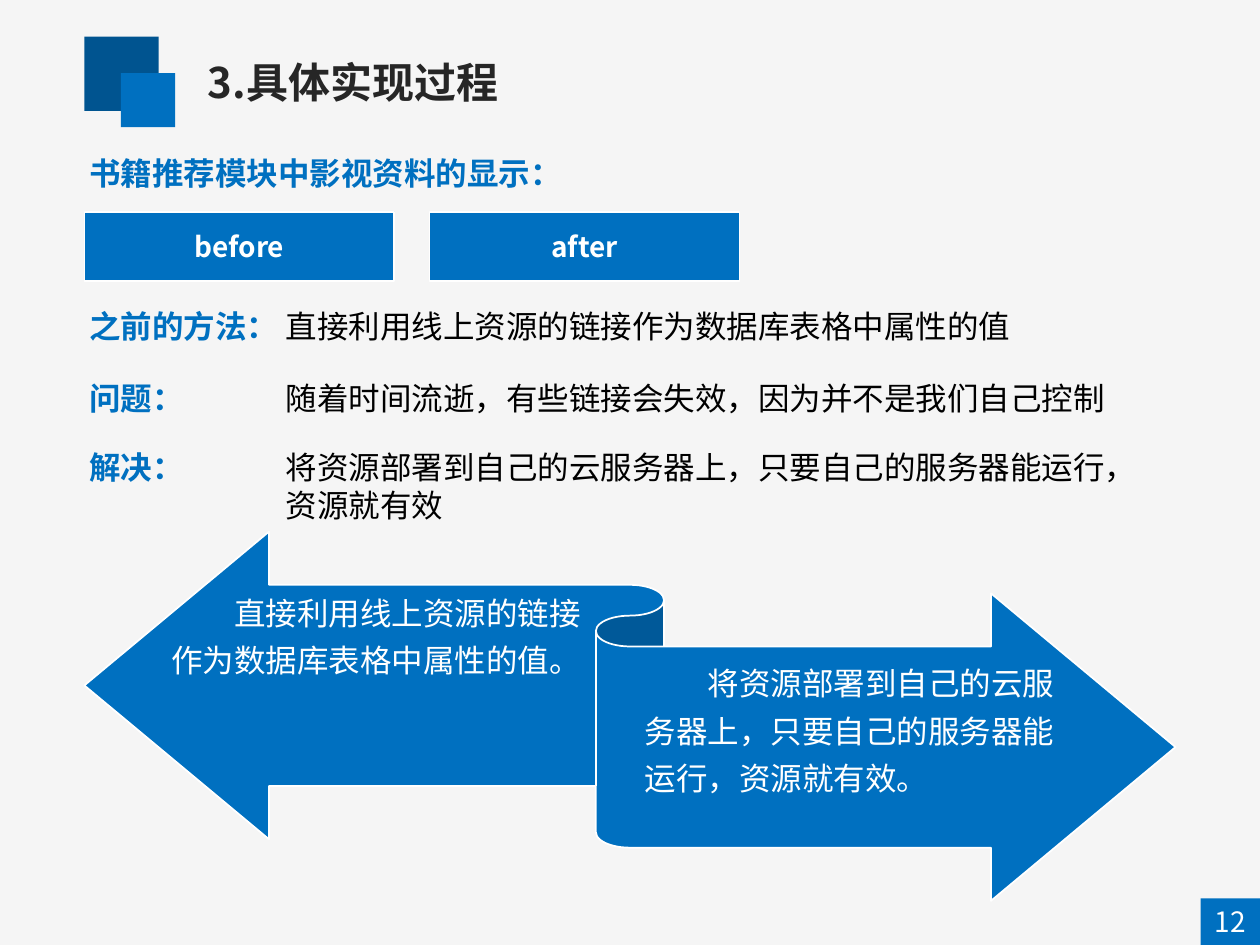
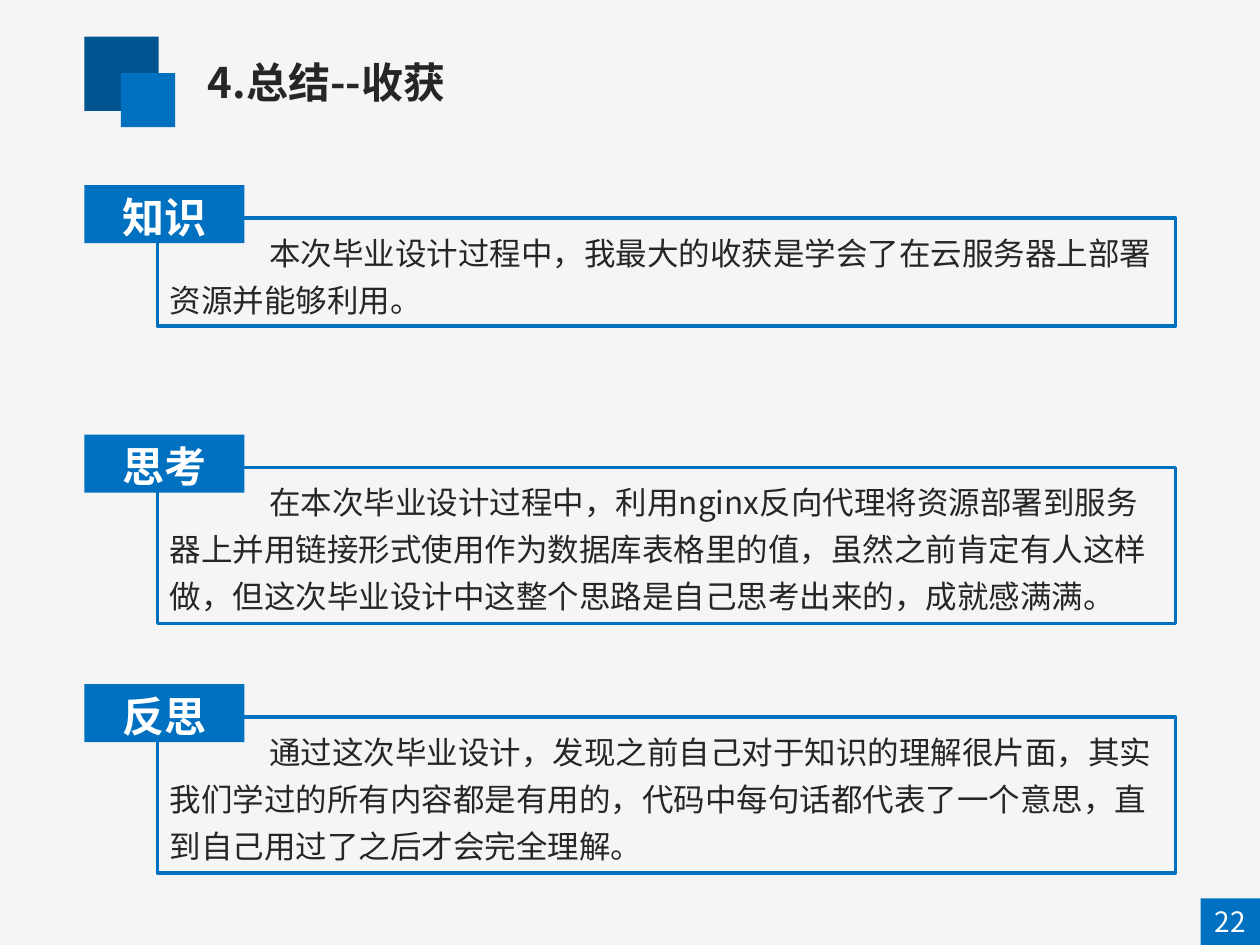
import pptx
import pptx.dml.color
import pptx.enum.shapes
import pptx.enum.text
import pptx.oxml.ns
import pptx.util
from lxml import etree

Inches = pptx.util.Inches
Pt = pptx.util.Pt
Preset = pptx.enum.shapes.MSO_SHAPE
Align = pptx.enum.text.PP_ALIGN
Anchor = pptx.enum.text.MSO_ANCHOR

FONT = "Noto Sans CJK SC"
COLORS = {
    "paper": "F5F5F5",
    "blue": "0070C0",
    "navy": "005490",
    "ink": "262626",
    "black": "000000",
    "white": "FFFFFF",
}
TITLE_LAYOUT = 5
LEFT, CONTENT_WIDTH = 0.67, 8.66
LINE_HEIGHT = 1.2


def color(name):
    return pptx.dml.color.RGBColor.from_string(COLORS[name])


def write(shape, text, size, ink, bold=False, align=Align.LEFT,
          anchor=Anchor.TOP, spacing=1, indent=0, side_margin=0.1):
    """Fill a shape with one paragraph; spacing is in lines, lengths in inches."""
    frame = shape.text_frame
    frame.word_wrap = True
    frame.auto_size = pptx.enum.text.MSO_AUTO_SIZE.NONE
    frame.vertical_anchor = anchor
    frame.margin_left = frame.margin_right = Inches(side_margin)
    frame.margin_top = frame.margin_bottom = Inches(0.05)
    para = frame.paragraphs[0]
    para.alignment = align
    para.line_spacing = Pt(size * LINE_HEIGHT * spacing)
    if indent:
        para._p.get_or_add_pPr().set("indent", str(Inches(indent)))
    span = para.add_run()
    span.text = text
    span.font.size = Pt(size)
    span.font.bold = bold
    span.font.color.rgb = color(ink)
    span.font.name = FONT
    east_asian = etree.SubElement(span._r.get_or_add_rPr(), pptx.oxml.ns.qn("a:ea"))
    east_asian.set("typeface", FONT)


def add_block(page, box, fill=None, line=None, line_width=1, preset=Preset.RECTANGLE):
    block = page.shapes.add_shape(preset, *map(Inches, box))
    block.shadow.inherit = False
    if fill:
        block.fill.solid()
        block.fill.fore_color.rgb = color(fill)
    else:
        block.fill.background()
    if line:
        block.line.color.rgb = color(line)
        block.line.width = Pt(line_width)
    else:
        block.line.fill.background()
    return block


def add_text(page, box, text, size, ink, **style):
    write(page.shapes.add_textbox(*map(Inches, box)), text, size, ink, **style)


def add_page(deck, title, number):
    """Add a slide with the title, its two squares and the page number."""
    page = deck.slides.add_slide(deck.slide_layouts[TITLE_LAYOUT])
    add_block(page, (LEFT, 0.29, 0.59, 0.59), "navy")
    add_block(page, (0.96, 0.58, 0.43, 0.43), "blue")
    heading = page.shapes.title
    heading.left, heading.top = Inches(1.55), Inches(0.4)
    heading.width, heading.height = Inches(7.78), Inches(0.5)
    write(heading, title, 24, "ink", bold=True)
    badge = add_block(page, (9.53, 7.13, 0.47, 0.37), "blue")
    write(badge, number, 16, "white", align=Align.CENTER, side_margin=0)
    return page


def add_buttons(page, left, top, labels):
    width, gap = 2.46, 0.28
    for index, label in enumerate(labels):
        box = (left + index * (width + gap), top, width, 0.55)
        button = add_block(page, box, "blue", "white")
        write(button, label, 16, "white", bold=True,
              align=Align.CENTER, anchor=Anchor.MIDDLE)


def add_labelled_row(page, left, top, height, label, text):
    add_text(page, (left, top, 1.8, 0.4), label, 18, "blue", bold=True)
    add_text(page, (left + 1.56, top, 7.16, height), text, 18, "black")


def add_ribbon(page, left, top, before, after):
    ribbon = add_block(page, (left, top, CONTENT_WIDTH, 2.93), "blue", "white",
                       preset=Preset.LEFT_RIGHT_RIBBON)
    for index, value in enumerate((0.545, 0.5, 0.167)):
        ribbon.adjustments[index] = value
    for text, shift, drop, height in ((before, 0.59, 0.37, 0.86),
                                      (after, 4.35, 0.93, 1.24)):
        add_text(page, (left + shift, top + drop, 3.47, height), text, 18, "white",
                 spacing=1.25, indent=0.5)


def add_card(page, left, top, height, tag, text):
    """Add an outlined paragraph with a tag over its top left corner."""
    inset = 0.58
    frame = add_block(page, (left + inset, top + 0.26, CONTENT_WIDTH - inset, height),
                      line="blue", line_width=2)
    write(frame, text, 18, "ink", spacing=1.25, indent=0.79)
    label = add_block(page, (left, top, 1.27, 0.46), "blue")
    write(label, tag, 24, "white", bold=True, align=Align.CENTER)


def build_process(deck):
    page = add_page(deck, "3.具体实现过程", "12")
    text_left = 0.61
    add_text(page, (text_left, 1.17, CONTENT_WIDTH, 0.4),
             "书籍推荐模块中影视资料的显示：", 18, "blue", bold=True)
    add_buttons(page, LEFT, 1.68, ("before", "after"))
    rows = (
        (2.39, 0.4, "之前的方法：", "直接利用线上资源的链接作为数据库表格中属性的值"),
        (2.96, 0.4, "问题：", "随着时间流逝，有些链接会失效，因为并不是我们自己控制"),
        (3.51, 0.71, "解决：",
         "将资源部署到自己的云服务器上，只要自己的服务器能运行，资源就有效"),
    )
    for row in rows:
        add_labelled_row(page, text_left, *row)
    add_ribbon(page, LEFT, 4.22,
               "直接利用线上资源的链接作为数据库表格中属性的值。",
               "将资源部署到自己的云服务器上，只要自己的服务器能运行，资源就有效。")


def build_summary(deck):
    page = add_page(deck, "4.总结--收获", "22")
    cards = (
        (0.86, "知识", "本次毕业设计过程中，我最大的收获是学会了在云服务器上部署资源并能够利用。"),
        (1.24, "思考", "在本次毕业设计过程中，利用nginx反向代理将资源部署到服务器上并用链接形式"
                     "使用作为数据库表格里的值，虽然之前肯定有人这样做，但这次毕业设计中这整个"
                     "思路是自己思考出来的，成就感满满。"),
        (1.24, "反思", "通过这次毕业设计，发现之前自己对于知识的理解很片面，其实我们学过的所有内容"
                     "都是有用的，代码中每句话都代表了一个意思，直到自己用过了之后才会完全理解。"),
    )
    for index, card in enumerate(cards):
        add_card(page, LEFT, 1.47 + index * 1.98, *card)


def main():
    deck = pptx.Presentation()
    deck.slide_width, deck.slide_height = Inches(10), Inches(7.5)
    paper = deck.slide_master.background.fill
    paper.solid()
    paper.fore_color.rgb = color("paper")
    build_process(deck)
    build_summary(deck)
    deck.save("out.pptx")


if __name__ == "__main__":
    main()
